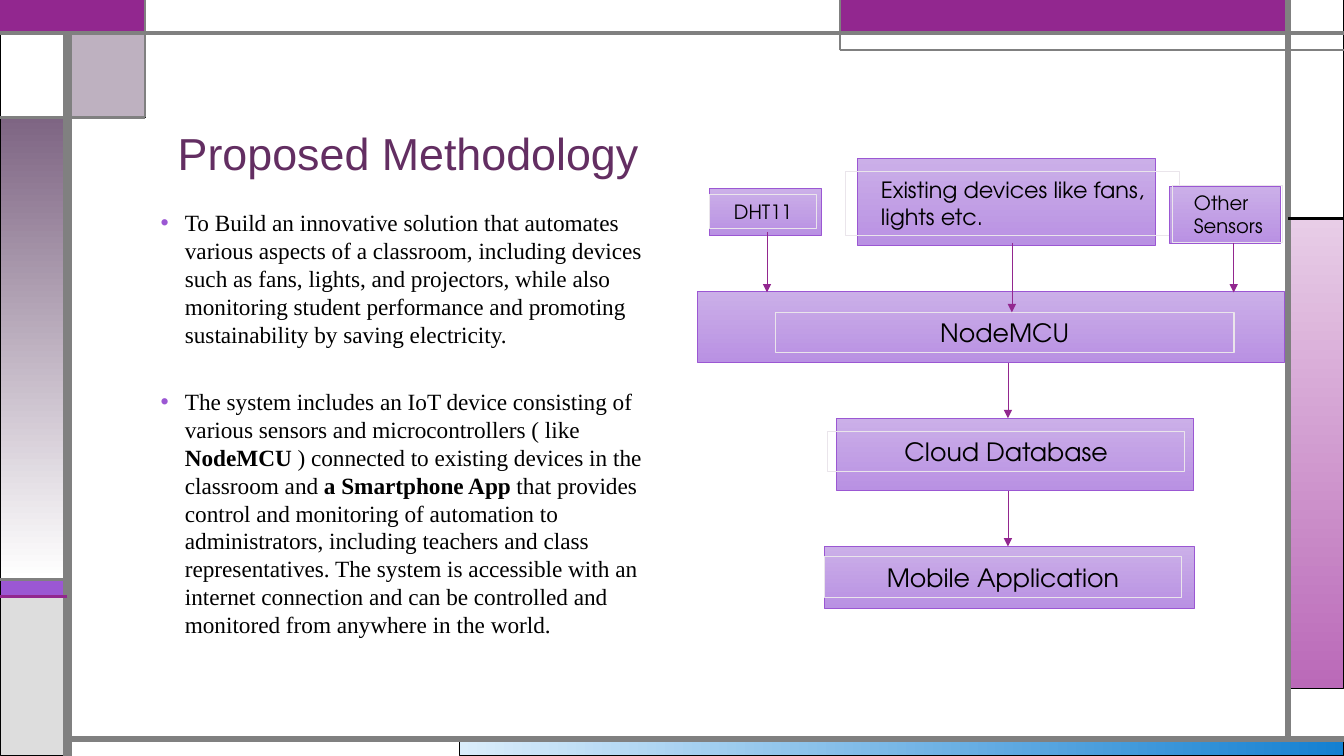
from dataclasses import dataclass

import pptx
import pptx.dml.color
import pptx.enum.shapes
import pptx.enum.text
import pptx.oxml
import pptx.oxml.ns
import pptx.util
from lxml import etree

Cm, Pt = pptx.util.Cm, pptx.util.Pt
qn = pptx.oxml.ns.qn


@dataclass(frozen=True)
class Theme:
    white: str = "FFFFFF"
    black: str = "000000"
    gray: str = "808080"
    light_gray: str = "DDDDDD"
    plum: str = "92278F"
    violet: str = "9B57D3"
    indigo: str = "755DD9"
    mauve: str = "7E6583"
    label_line: str = "EAE5EB"
    title_color: str = "632E62"
    # Gradients: first colour, last colour, angle (270 runs downwards)
    blue_fade: tuple = ("DAEDFB", "1480D1", 0)
    pink_fade: tuple = ("E8CDE7", "BA69B8", 270)
    mauve_fade: tuple = ("7E6583", "FFFFFF", 270)
    box_fade: tuple = ("CBAFE8", "B991E3", 270)
    title_font: str = "Arial"
    body_font: str = "Times New Roman"
    label_font: str = "TeX Gyre Adventor"
    title_size: float = 32
    body_size: float = 16.6
    label_large: float = 18
    label_medium: float = 16
    label_small: float = 14


theme = Theme()
rgb = pptx.dml.color.RGBColor.from_string

presentation = pptx.Presentation()
presentation.slide_width = Cm(33.87)
presentation.slide_height = Cm(19.05)
slide = presentation.slides.add_slide(presentation.slide_layouts[6])


def add_box(left, top, width, height, fill, line, line_width):
    shape = slide.shapes.add_shape(
        pptx.enum.shapes.MSO_SHAPE.RECTANGLE, Cm(left), Cm(top), Cm(width), Cm(height))
    shape.shadow.inherit = False
    if fill is None:
        shape.fill.background()
    elif isinstance(fill, tuple):
        shape.fill.gradient()
        shape.fill.gradient_angle = fill[2]
        for stop, color in zip(shape.fill.gradient_stops, fill):
            stop.color.rgb = rgb(color)
    else:
        shape.fill.solid()
        shape.fill.fore_color.rgb = rgb(fill)
    shape.line.color.rgb = rgb(line)
    shape.line.width = Pt(line_width)
    return shape


def add_line(x1, y1, x2, y2, color, width, arrow=False):
    connector = slide.shapes.add_connector(
        pptx.enum.shapes.MSO_CONNECTOR.STRAIGHT, Cm(x1), Cm(y1), Cm(x2), Cm(y2))
    connector.line.color.rgb = rgb(color)
    connector.line.width = Pt(width)
    if arrow:
        etree.SubElement(connector.line._get_or_add_ln(), qn("a:tailEnd"), type="triangle")
    etree.SubElement(connector._element.spPr, qn("a:effectLst"))


# Frame: guides shared by the panels and rules
page_left, page_right, page_bottom = 0.02, 33.87, 19.05
rail_left, rail_right = 1.7, 32.46
rail_top, rail_bottom = 0.84, 18.63
corner_x, corner_y = 3.66, 2.96
banner_x, banner_y = 21.17, 1.27
stripe_top, stripe_bottom = 14.6, 15.03
pink_top, pink_bottom = 5.5, 17.35
blue_x = 11.58

# Frame panels: left, top, right, bottom, fill, line, line width
panels = [
    (blue_x, rail_bottom, page_right, page_bottom, theme.blue_fade, theme.black, 0.75),
    (rail_right, pink_top, page_right, pink_bottom, theme.pink_fade, theme.black, 0.75),
    (page_left, stripe_top, rail_left, stripe_bottom, theme.violet, theme.black, 0.75),
    (page_left, stripe_bottom, rail_left, page_bottom, theme.light_gray, theme.black, 0.75),
    (rail_right, 0, page_right, pink_top, theme.white, theme.black, 0.75),
    (banner_x, 0, rail_right, rail_top, theme.plum, theme.indigo, 0.75),
    (page_left, corner_y, rail_left, stripe_top, theme.mauve_fade, theme.black, 0.75),
    (page_left, rail_top, rail_left, corner_y, theme.white, theme.black, 0.75),
    (page_left, 0, corner_x, rail_top, theme.plum, theme.plum, 1.5),
    (corner_x, 0, banner_x, rail_top, theme.white, theme.gray, 0.75),
]
for left, top, right, bottom, fill, line, line_width in panels:
    add_box(left, top, right - left, bottom - top, fill, line, line_width)

# Half-transparent corner panel
corner = add_box(rail_left, rail_top, corner_x - rail_left, corner_y - rail_top,
                 theme.mauve, theme.black, 0.75)
corner_color = corner._element.spPr.find(qn("a:solidFill"))[0]
etree.SubElement(corner_color, qn("a:alpha"), val="50000")

# Frame rules
rules = [
    (rail_left, page_bottom, rail_left, rail_top, theme.gray, 6),
    (rail_left, rail_bottom, page_right, rail_bottom, theme.gray, 4.5),
    (rail_right, rail_bottom, rail_right, 0, theme.gray, 4.5),
    (0, rail_top, page_right, rail_top, theme.gray, 3),
    (page_right, banner_y, banner_x, banner_y, theme.gray, 1.5),
    (banner_x, banner_y, banner_x, 0, theme.gray, 1.5),
    (rail_right, pink_top, page_right, pink_top, theme.black, 2.25),
    (corner_x, 0, corner_x, corner_y, theme.gray, 1.5),
    (corner_x, corner_y, 0, corner_y, theme.gray, 2.25),
    (rail_left, stripe_top, 0, stripe_top, theme.gray, 2.25),
    (rail_left, stripe_bottom, 0, stripe_bottom, theme.plum, 2.25),
]
for rule in rules:
    add_line(*rule)

# Title
title = slide.shapes.add_textbox(Cm(4.23), Cm(1.49), Cm(26.67), Cm(3.18)).text_frame
title.word_wrap = True
title.vertical_anchor = pptx.enum.text.MSO_ANCHOR.BOTTOM
paragraph = title.paragraphs[0]
paragraph.text = "Proposed Methodology"
paragraph.line_spacing = 0.9
paragraph.font.name = theme.title_font
paragraph.font.size = Pt(theme.title_size)
paragraph.font.color.rgb = rgb(theme.title_color)

# Bulleted text: each paragraph is a list of (text, bold) runs
bullets = [
    [("To Build an innovative solution that automates various aspects of a classroom, "
      "including devices such as fans, lights, and projectors, while also monitoring "
      "student performance and promoting sustainability by saving electricity.", False)],
    [("The system includes an IoT device consisting of various sensors and "
      "microcontrollers ( like ", False),
     ("NodeMCU", True),
     (" ) connected to existing devices in the classroom and ", False),
     ("a Smartphone App", True),
     (" that provides control and monitoring of automation to administrators, including "
      "teachers and class representatives. The system is accessible with an internet "
      "connection and can be controlled and monitored from anywhere in the world.", False)],
]
body = slide.shapes.add_textbox(Cm(3.8), Cm(5.13), Cm(13.36), Cm(11.63)).text_frame
body.word_wrap = True
for index, runs in enumerate(bullets):
    paragraph = body.add_paragraph() if index else body.paragraphs[0]
    paragraph.space_before, paragraph.space_after = Pt(18), Pt(10)
    paragraph.font.name = theme.body_font
    paragraph.font.size = Pt(theme.body_size)
    paragraph.font.color.rgb = rgb(theme.black)
    for text, bold in runs:
        run = paragraph.add_run()
        run.text = text
        run.font.bold = bold
    properties = paragraph._p.get_or_add_pPr()
    properties.set("marL", str(Cm(0.61)))
    properties.set("indent", str(-Cm(0.61)))
    bullet_color = pptx.oxml.parse_xml(
        '<a:buClr xmlns:a="http://schemas.openxmlformats.org/drawingml/2006/main">'
        f'<a:srgbClr val="{theme.violet}"/></a:buClr>')
    bullet_font = bullet_color.makeelement(qn("a:buFont"), typeface="Arial")
    bullet_char = bullet_color.makeelement(qn("a:buChar"), char="•")
    default_run = properties.find(qn("a:defRPr"))
    for element in (bullet_color, bullet_font, bullet_char):
        default_run.addprevious(element)

# Diagram: box, label frame, text, size, left inset of a left-aligned label
steps = [
    ((17.57, 7.35, 14.81, 1.78), (19.54, 7.87, 11.56, 1.02),
     "NodeMCU", theme.label_large, None),
    ((21.09, 10.54, 8.99, 1.83), (20.86, 10.87, 8.99, 1.02),
     "Cloud Database", theme.label_large, None),
    ((20.78, 13.77, 9.32, 1.55), (20.78, 14.03, 8.99, 1.02),
     "Mobile Application", theme.label_large, None),
    ((21.6, 3.99, 7.52, 2.19), (21.31, 4.32, 8.41, 1.61),
     "Existing devices like fans, lights etc.", theme.label_medium, 0.89),
    ((17.88, 4.75, 2.82, 1.19), (17.88, 4.91, 2.7, 0.86),
     "DHT11", theme.label_small, None),
    ((29.47, 4.7, 2.79, 1.43), (29.54, 4.67, 2.79, 1.45),
     "Other Sensors", theme.label_small, 0.55),
]
for box, label_frame, text, size, inset in steps:
    add_box(*box, theme.box_fade, theme.violet, 0.5)
    label = add_box(*label_frame, None, theme.label_line, 0.75).text_frame
    label.word_wrap = True
    label.vertical_anchor = pptx.enum.text.MSO_ANCHOR.MIDDLE
    paragraph = label.paragraphs[0]
    paragraph.text = text
    paragraph.alignment = pptx.enum.text.PP_ALIGN.CENTER
    if inset:
        paragraph.alignment = pptx.enum.text.PP_ALIGN.LEFT
        label.margin_left = Cm(inset)
    paragraph.font.name = theme.label_font
    paragraph.font.size = Pt(size)
    paragraph.font.color.rgb = rgb(theme.black)

# Downward arrows: x, start, end
for x, start, end in [(25.5, 6.12, 7.87), (25.4, 9.14, 10.54), (19.33, 5.84, 7.37),
                      (31.09, 6.12, 7.37), (25.4, 12.37, 13.77)]:
    add_line(x, start, x, end, theme.plum, 0.5, arrow=True)

presentation.save("out.pptx")
